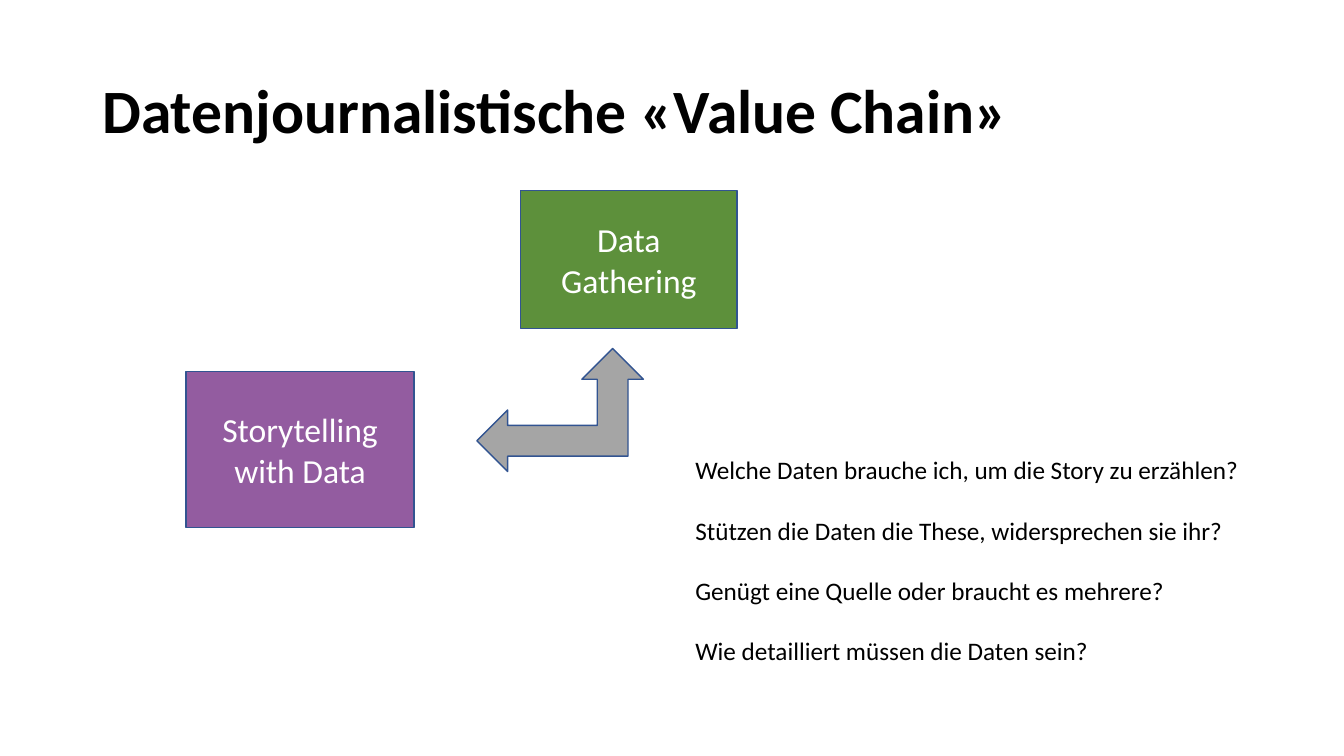
import pptx
import pptx.dml.color
import pptx.enum.shapes
import pptx.enum.text
import pptx.util

Pt = pptx.util.Pt
SHAPE = pptx.enum.shapes.MSO_SHAPE
ALIGN = pptx.enum.text.PP_ALIGN
ANCHOR = pptx.enum.text.MSO_ANCHOR

FONT = "Calibri"
OUTLINE = "325491"
QUESTIONS = [
    "Welche Daten brauche ich, um die Story zu erzählen?",
    "Stützen die Daten die These, widersprechen sie ihr?",
    "Genügt eine Quelle oder braucht es mehrere?",
    "Wie detailliert müssen die Daten sein?",
]


def rgb(value):
    return pptx.dml.color.RGBColor.from_string(value)


def write(sp, lines, size, color, anchor, bold=False, **paragraph_format):
    """Fill a shape with one paragraph per line, all in the same format."""
    tf = sp.text_frame
    tf.word_wrap = True
    tf.vertical_anchor = anchor
    for i, line in enumerate(lines):
        p = tf.add_paragraph() if i else tf.paragraphs[0]
        for name, value in paragraph_format.items():
            setattr(p, name, value)
        r = p.add_run()
        r.text = line
        for name, value in {"name": FONT, "size": Pt(size), "bold": bold}.items():
            setattr(r.font, name, value)
        r.font.color.rgb = rgb(color)


def add_text(s, box, lines, size, anchor, **text_format):
    sp = s.shapes.add_textbox(*map(Pt, box))
    write(sp, lines, size, "000000", anchor, **text_format)


def add_figure(s, kind, box, fill):
    sp = s.shapes.add_shape(kind, *map(Pt, box))
    sp.shadow.inherit = False
    sp.fill.solid()
    sp.fill.fore_color.rgb = rgb(fill)
    sp.line.color.rgb = rgb(OUTLINE)
    sp.line.width = Pt(1)
    return sp


def add_stage(s, box, fill, label):
    sp = add_figure(s, SHAPE.RECTANGLE, box, fill)
    write(sp, [label], 24, "FFFFFF", ANCHOR.MIDDLE, alignment=ALIGN.CENTER)


def main():
    prs = pptx.Presentation()
    prs.slide_width, prs.slide_height = Pt(960), Pt(540)
    s = prs.slides.add_slide(prs.slide_layouts[6])

    add_text(s, (66, 28.75, 828, 104.4), ["Datenjournalistische «Value Chain»"],
             44, ANCHOR.MIDDLE, bold=True, line_spacing=0.9)
    add_text(s, (489.6, 321.1, 493.9, 181.4), QUESTIONS,
             18, ANCHOR.TOP, space_after=Pt(21.5))
    add_stage(s, (133, 265.2, 162.7, 111.6), "935CA0", "Storytelling with Data")
    add_figure(s, SHAPE.LEFT_UP_ARROW, (340.6, 248.9, 119, 87.9), "A5A5A5")
    add_stage(s, (372, 136.1, 154.4, 98.6), "5D903B", "Data Gathering")

    prs.save("out.pptx")


if __name__ == "__main__":
    main()
